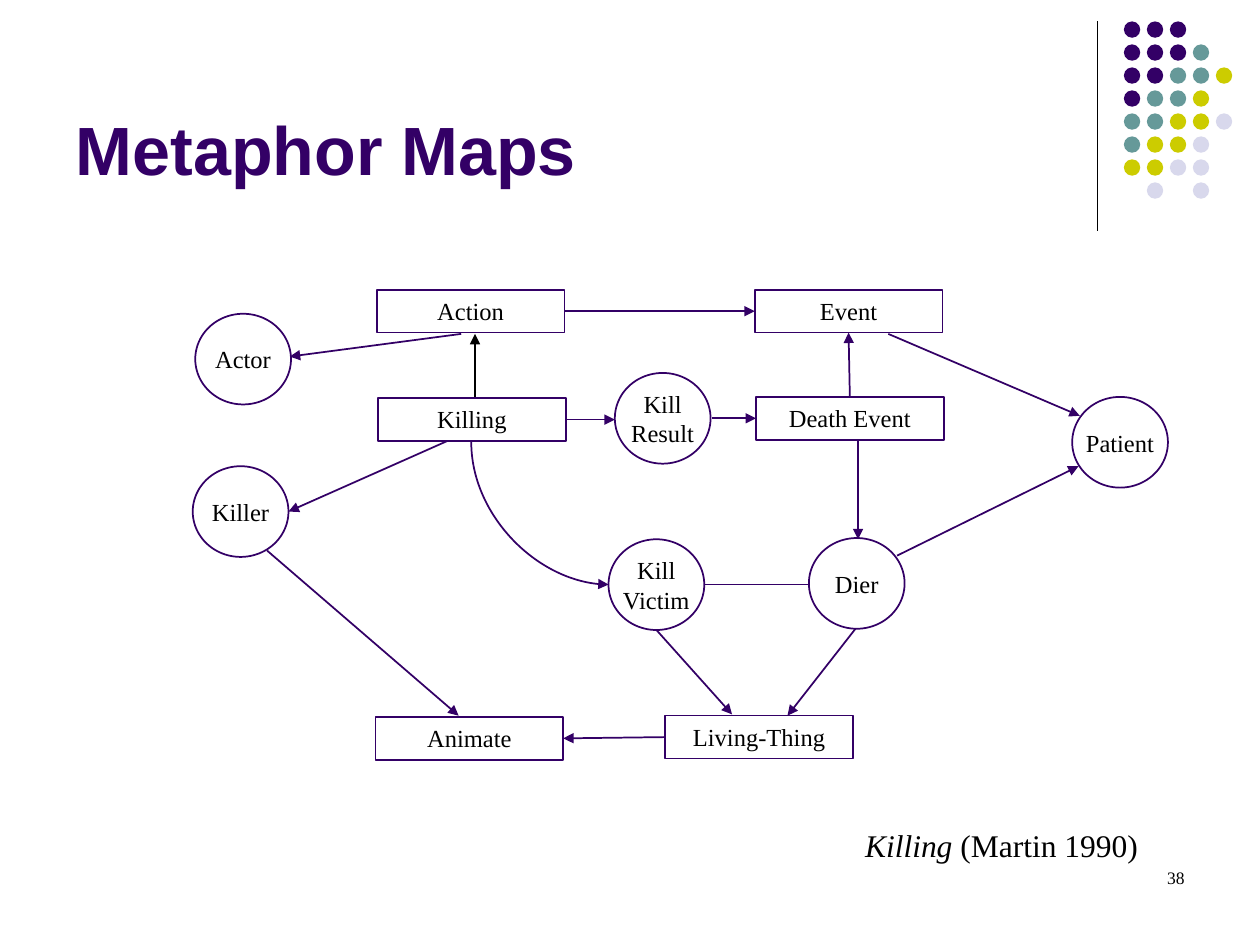
"""Build the Metaphor Maps slide: a concept graph with a title and a citation."""
import dataclasses

import pptx
import pptx.dml.color
import pptx.enum.shapes
import pptx.enum.text
import pptx.oxml
import pptx.oxml.ns
import pptx.util
from pptx.util import Inches

MSO_SHAPE = pptx.enum.shapes.MSO_SHAPE
MSO_CONNECTOR = pptx.enum.shapes.MSO_CONNECTOR
PP_ALIGN = pptx.enum.text.PP_ALIGN
MSO_ANCHOR = pptx.enum.text.MSO_ANCHOR
RGB = pptx.dml.color.RGBColor.from_string


@dataclasses.dataclass(frozen=True)
class Theme:
    purple: str = "330066"
    teal: str = "669999"
    olive: str = "CCCC00"
    lavender: str = "D8D8EC"
    black: str = "000000"
    heading_font: str = "Arial"
    body_font: str = "Times New Roman"
    title_size: int = 39
    node_size: int = 14
    citation_size: int = 18
    number_size: int = 10
    line_width: float = 1
    thin_width: float = 0.75


theme = Theme()


def add_run(paragraph, text, size, color=theme.black, font=theme.body_font, bold=False, italic=False):
    run = paragraph.add_run()
    run.text = text
    run.font.size = pptx.util.Pt(size)
    run.font.name = font
    run.font.color.rgb = RGB(color)
    run.font.bold = bold
    run.font.italic = italic


def add_link(start, end, color=theme.purple, width=theme.line_width, arrow=True, kind=MSO_CONNECTOR.STRAIGHT):
    link = slide.shapes.add_connector(kind, *[Inches(value) for value in (*start, *end)])
    link.line.color.rgb = RGB(color)
    link.line.width = pptx.util.Pt(width)
    if arrow:
        head = pptx.oxml.parse_xml(f'<a:tailEnd {pptx.oxml.ns.nsdecls("a")} type="triangle"/>')
        link.line._get_or_add_ln().append(head)
    link._element.spPr.append(pptx.oxml.parse_xml(f'<a:effectLst {pptx.oxml.ns.nsdecls("a")}/>'))
    return link


presentation = pptx.Presentation()
presentation.slide_width = Inches(10)
presentation.slide_height = Inches(7.5)
slide = presentation.slides.add_slide(presentation.slide_layouts[5])

add_link((8.71, 0.17), (8.71, 1.83), theme.black, theme.thin_width, arrow=False)

dot_colors = {"P": theme.purple, "T": theme.teal, "O": theme.olive, "L": theme.lavender}
dot_rows = ["PPP", "PPPT", "PPTTO", "PTTO", "TTOOL", "TOOL", "OOLL", ".L.L"]
dot_pitch = 0.73 / 4
for row, letters in enumerate(dot_rows):
    for column, letter in enumerate(letters):
        if letter in dot_colors:
            dot = slide.shapes.add_shape(
                MSO_SHAPE.OVAL, Inches(8.92 + column * dot_pitch), Inches(0.17 + row * dot_pitch),
                Inches(0.13), Inches(0.13))
            dot.shadow.inherit = False
            dot.fill.solid()
            dot.fill.fore_color.rgb = RGB(dot_colors[letter])
            dot.line.fill.background()

title = slide.shapes.title
title.left, title.top, title.width, title.height = [Inches(v) for v in (0.5, 0.13, 8.25, 1.42)]
title.text_frame.auto_size = pptx.enum.text.MSO_AUTO_SIZE.NONE
title.text_frame.vertical_anchor = MSO_ANCHOR.BOTTOM
heading = title.text_frame.paragraphs[0]
heading.alignment = PP_ALIGN.LEFT
add_run(heading, "Metaphor Maps", theme.title_size, theme.purple, theme.heading_font, bold=True)

concepts = [
    ("Action", 2.99, 2.3), ("Event", 5.99, 2.3), ("Killing", 3, 3.16), ("Death Event", 6, 3.15),
    ("Animate", 2.98, 5.69), ("Living-Thing", 5.28, 5.68),
]
roles = [
    ("Kill\nResult", 4.88, 2.96), ("Actor", 1.55, 2.49), ("Killer", 1.53, 3.7),
    ("Kill\nVictim", 4.83, 4.28), ("Dier", 6.42, 4.27), ("Patient", 8.51, 3.15),
]
nodes = {}
for group, outline, width, height, anchor, wrap in [
    (concepts, MSO_SHAPE.RECTANGLE, 1.49, 0.34, MSO_ANCHOR.TOP, True),
    (roles, MSO_SHAPE.OVAL, 0.76, 0.72, MSO_ANCHOR.MIDDLE, False),
]:
    for label, left, top in group:
        node = slide.shapes.add_shape(outline, Inches(left), Inches(top), Inches(width), Inches(height))
        node.shadow.inherit = False
        node.fill.background()
        node.line.color.rgb = RGB(theme.purple)
        node.line.width = pptx.util.Pt(theme.line_width)
        node.text_frame.word_wrap = wrap
        node.text_frame.vertical_anchor = anchor
        caption = node.text_frame.paragraphs[0]
        caption.alignment = PP_ALIGN.CENTER
        for position, word in enumerate(label.split("\n")):
            if position:
                caption.add_line_break()
            add_run(caption, word, theme.node_size)
        nodes[label] = node

top_side, left_side, bottom_side, right_side = range(4)
joined_links = [
    ((4.5, 2.48), (5.98, 2.48), ("Action", right_side), ("Event", left_side)),
    ((4.5, 3.33), (4.88, 3.33), ("Killing", right_side), None),
    ((5.65, 3.32), (6, 3.32), None, ("Death Event", left_side)),
    ((6.75, 3.14), (6.75, 2.65), ("Death Event", top_side), ("Event", bottom_side)),
    ((5.27, 5.85), (4.47, 5.85), ("Living-Thing", left_side), ("Animate", right_side)),
]
for start, end, source, target in joined_links:
    link = add_link(start, end)
    if source:
        link.begin_connect(nodes[source[0]], source[1])
    if target:
        link.end_connect(nodes[target[0]], target[1])

free_links = [
    ((7.05, 2.65), (8.57, 3.3)), ((7.12, 4.41), (8.56, 3.7)), ((6.81, 3.49), (6.81, 4.28)),
    ((6.79, 4.99), (6.25, 5.68)), ((5.21, 5), (5.81, 5.67)), ((3.66, 2.65), (2.3, 2.83)),
    ((3.55, 3.5), (2.29, 4.06)), ((2.12, 4.37), (3.64, 5.68)),
]
for start, end in free_links:
    add_link(start, end)
add_link((3.77, 3.15), (3.77, 2.65), theme.black, theme.thin_width)
add_link((5.59, 4.64), (6.42, 4.64), arrow=False)

killing_to_victim = add_link((3.72, 3.53), (4.85, 4.62), kind=MSO_CONNECTOR.CURVE)
curve_properties = killing_to_victim._element.spPr
curve_properties.find(pptx.oxml.ns.qn("a:prstGeom")).set("prst", "curvedConnector2")
curve_frame = curve_properties.find(pptx.oxml.ns.qn("a:xfrm"))
curve_frame.set("rot", str(270 * 60000))
curve_frame.set("flipH", "1")

footers = [
    ((6.14, 6.51, 2.99, 0.4), theme.citation_size, [("Killing", True), (" (Martin 1990)", False)]),
    ((7.17, 6.83, 2.33, 0.5), theme.number_size, [("38", False)]),
]
for place, size, runs in footers:
    footer = slide.shapes.add_textbox(*[Inches(value) for value in place])
    footer.text_frame.word_wrap = True
    footer_line = footer.text_frame.paragraphs[0]
    footer_line.alignment = PP_ALIGN.RIGHT
    for text, italic in runs:
        add_run(footer_line, text, size, italic=italic)

presentation.save("out.pptx")
